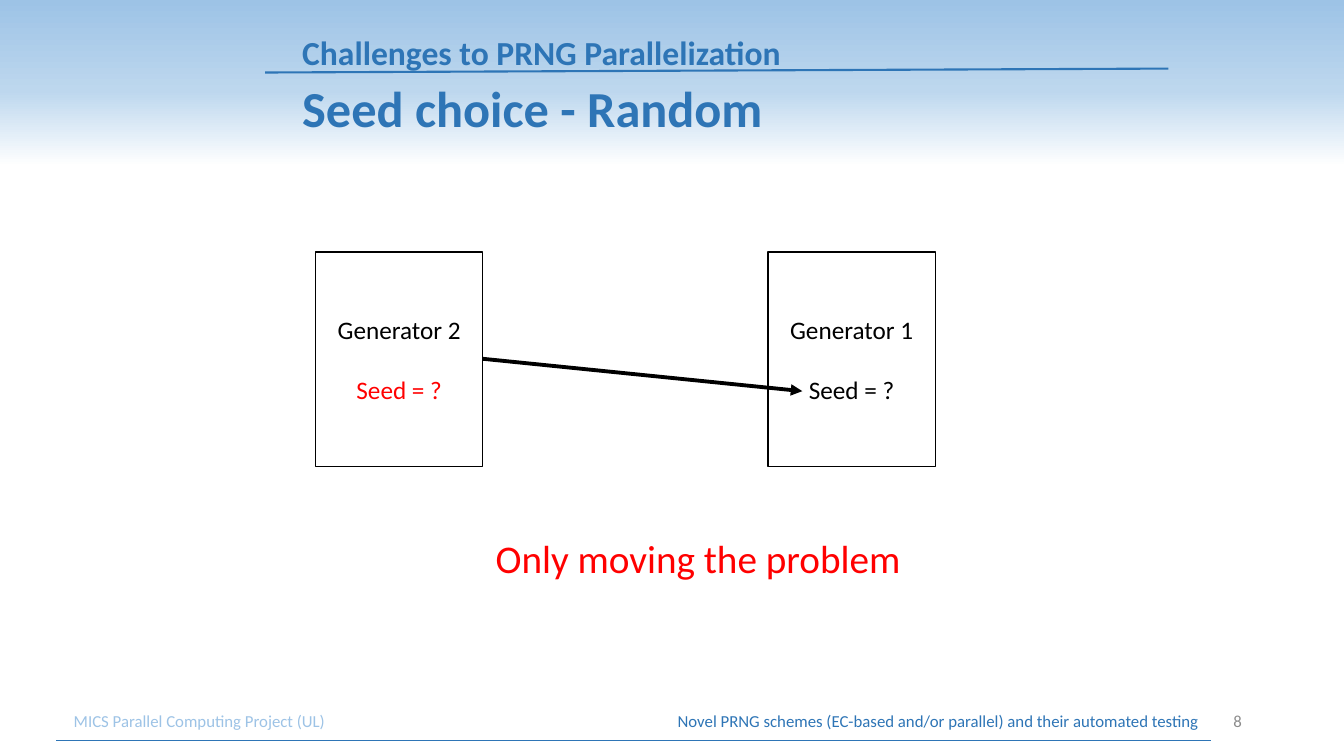
import copy

import pptx
import pptx.dml.color
import pptx.enum.shapes
import pptx.enum.text
import pptx.oxml
import pptx.oxml.ns
import pptx.util
from lxml import etree

Pt = pptx.util.Pt
qn = pptx.oxml.ns.qn
ALIGN = pptx.enum.text.PP_ALIGN
ANCHOR = pptx.enum.text.MSO_ANCHOR

COLORS = {
    "blue": "2E75B6",
    "sky": "9DC3E6",
    "pale": "BDD7EE",
    "white": "FFFFFF",
    "black": "000000",
    "red": "FF0000",
    "gray": "8C8C8C",
}


def rgb(name):
    return pptx.dml.color.RGBColor.from_string(COLORS[name])


def write(p, text, size=18, color="black", bold=False, font="Calibri",
          align=ALIGN.LEFT, line=None, before=None):
    p.alignment = align
    p.line_spacing = line
    if before is not None:
        p.space_before = Pt(before)
    r = p.add_run()
    r.text = text
    r.font.name = font
    r.font.size = Pt(size)
    r.font.bold = bold
    r.font.color.rgb = rgb(color)


class SlideBuilder:
    def __init__(self, slide):
        self.slide = slide
        self.shapes = slide.shapes

    def background(self, stops):
        fill = self.slide.background.fill
        fill.gradient()
        fill.gradient_angle = 270
        gs_list = self.slide.element.find(".//" + qn("a:gsLst"))
        gs_list.append(copy.deepcopy(gs_list[-1]))
        for stop, (position, color) in zip(fill.gradient_stops, stops):
            stop.position = position
            stop.color.rgb = rgb(color)

    def text(self, x, y, w, h, text, anchor=ANCHOR.MIDDLE, wrap=True, **style):
        sp = self.shapes.add_textbox(Pt(x), Pt(y), Pt(w), Pt(h))
        tf = sp.text_frame
        tf.word_wrap = wrap
        tf.vertical_anchor = anchor
        write(tf.paragraphs[0], text, **style)

    def generator(self, x, name, seed_color):
        sp = self.shapes.add_shape(pptx.enum.shapes.MSO_SHAPE.RECTANGLE,
                                   Pt(x), Pt(180), Pt(119.5), Pt(153.4))
        sp.shadow.inherit = False
        sp.fill.solid()
        sp.fill.fore_color.rgb = rgb("white")
        sp.line.color.rgb = rgb("black")
        sp.line.width = Pt(1)
        tf = sp.text_frame
        tf.word_wrap = True
        tf.vertical_anchor = ANCHOR.MIDDLE
        write(tf.paragraphs[0], name, align=ALIGN.CENTER)
        write(tf.add_paragraph(), "Seed = ?", color=seed_color,
              align=ALIGN.CENTER, before=21)

    def line(self, x1, y1, x2, y2, color, width, arrow=False):
        cx = self.shapes.add_connector(pptx.enum.shapes.MSO_CONNECTOR.STRAIGHT,
                                       Pt(x1), Pt(y1), Pt(x2), Pt(y2))
        cx.line.color.rgb = rgb(color)
        cx.line.width = Pt(width)
        if arrow:
            ln = cx.line._get_or_add_ln()
            etree.SubElement(ln, qn("a:tailEnd"), type="triangle")
        etree.SubElement(cx._element.spPr, qn("a:effectLst"))


def main():
    prs = pptx.Presentation()
    prs.slide_width, prs.slide_height = Pt(960), Pt(540)
    s = SlideBuilder(prs.slides.add_slide(prs.slide_layouts[6]))

    s.background([(0, "sky"), (0.12, "pale"), (0.22, "white")])
    s.line(189.4, 51.8, 834.5, 49, "blue", 1.5)

    footer_y, footer_h = 500.4, 28.8
    s.text(45.6, footer_y, 260, footer_h, "MICS Parallel Computing Project (UL)",
           size=12, color="sky")
    s.text(423.6, footer_y, 440, footer_h,
           "Novel PRNG schemes (EC-based and/or parallel) and their automated testing",
           size=12, color="blue", align=ALIGN.RIGHT)
    s.text(864, footer_y, 30.2, footer_h, "8",
           size=12, color="gray", align=ALIGN.RIGHT)
    s.line(40.3, 528.5, 864.7, 528.5, "blue", 0.5)

    for y, size, title in [(50.4, 36, "Seed choice - Random"),
                           (3.6, 24, "Challenges to PRNG Parallelization")]:
        s.text(208.8, y, 602.6, 51.8, title, anchor=ANCHOR.BOTTOM,
               size=size, color="blue", bold=True, line=0.9)

    s.generator(548.6, "Generator 1", "black")
    s.line(344.9, 256.3, 573.1, 279.4, "black", 2.75, arrow=True)
    s.generator(225.4, "Generator 2", "red")
    s.text(347, 378, 306.7, 41, "Only moving the problem",
           anchor=ANCHOR.TOP, wrap=False, size=28, color="red")

    prs.save("out.pptx")


if __name__ == "__main__":
    main()
